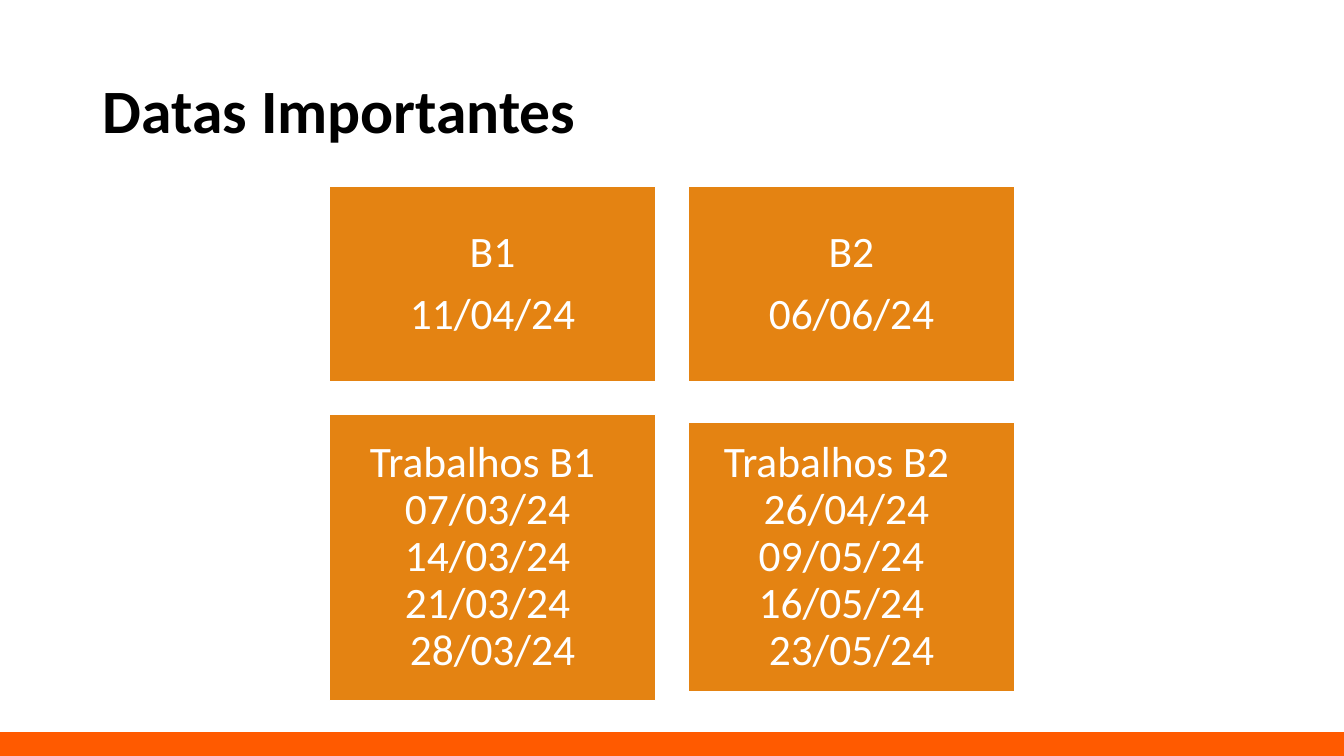
from pptx import Presentation
from pptx.dml.color import RGBColor
from pptx.enum.shapes import MSO_SHAPE as SHAPE
from pptx.enum.text import MSO_ANCHOR as ANCHOR, MSO_AUTO_SIZE as AUTO, PP_ALIGN as ALIGN
from pptx.util import Inches, Pt

BLACK = RGBColor(0x00, 0x00, 0x00)
WHITE = RGBColor(0xFF, 0xFF, 0xFF)
AMBER = RGBColor(0xE4, 0x83, 0x12)
ORANGE = RGBColor(0xFF, 0x5A, 0x00)

WIDTH, HEIGHT = 13.33, 7.5
# Grid of date cards: first left edge, column step, card width, row centres
LEFT, STEP, CARD_W = 3.27, 3.56, 3.23
ROW_CENTRES = (2.82, 5.53)


def apply(obj, values):
    for name, value in values.items():
        setattr(obj, name, value)


class DeckSlide:
    TITLE_FONT = dict(name="Calibri", size=Pt(44), bold=True)
    CARD_FONT = dict(name="Calibri", size=Pt(31))
    CARD_FRAME = dict(word_wrap=True, vertical_anchor=ANCHOR.MIDDLE,
                      **{f"margin_{side}": Inches(0.13)
                         for side in ("left", "right", "top", "bottom")})

    def __init__(self, prs):
        self.slide = prs.slides.add_slide(prs.slide_layouts[5])

    def title(self, text, left, top, width, height):
        sp = self.slide.shapes.title
        apply(sp, dict(left=Inches(left), top=Inches(top),
                       width=Inches(width), height=Inches(height)))
        tf = sp.text_frame
        tf.text = text
        apply(tf, dict(word_wrap=True, auto_size=AUTO.NONE, vertical_anchor=ANCHOR.MIDDLE))
        p = tf.paragraphs[0]
        apply(p, dict(alignment=ALIGN.LEFT, line_spacing=0.9))
        r = p.runs[0]
        apply(r.font, self.TITLE_FONT)
        r.font.color.rgb = BLACK

    def rect(self, left, top, width, height, fill, line):
        sp = self.slide.shapes.add_shape(
            SHAPE.RECTANGLE, *map(Inches, (left, top, width, height)))
        sp.shadow.inherit = False
        sp.fill.solid()
        sp.fill.fore_color.rgb = fill
        sp.line.color.rgb = line
        sp.line.width = Pt(1)
        return sp

    def card(self, col, row, height, lines, gap=0):
        """Lines are (text, right indent in inches); gap is in points."""
        sp = self.rect(LEFT + col * STEP, ROW_CENTRES[row] - height / 2,
                       CARD_W, height, AMBER, WHITE)
        tf = sp.text_frame
        apply(tf, self.CARD_FRAME)
        for i, (text, indent) in enumerate(lines):
            p = tf.add_paragraph() if i else tf.paragraphs[0]
            p._p.get_or_add_pPr().set("marR", str(Inches(indent)))
            apply(p, dict(alignment=ALIGN.CENTER, line_spacing=0.9,
                          space_before=Pt(gap if i else 0), space_after=Pt(0)))
            r = p.add_run()
            r.text = text
            apply(r.font, self.CARD_FONT)
            r.font.color.rgb = WHITE


def main():
    prs = Presentation()
    apply(prs, dict(slide_width=Inches(WIDTH), slide_height=Inches(HEIGHT)))
    s = DeckSlide(prs)

    # Footer band and title
    s.rect(0, 7.27, WIDTH, 0.23, ORANGE, ORANGE)
    s.title("Datas Importantes", 0.92, 0.4, 11.5, 1.45)

    # Exam dates
    for col, (exam, date) in enumerate([("B1", "11/04/24"), ("B2", "06/06/24")]):
        s.card(col, 0, 1.94, [(exam, 0), (date, 0)], gap=11)

    # Assignment dates
    assignments = [
        (2.84, [("Trabalhos B1", 0.2), ("07/03/24", 0.1), ("14/03/24", 0.1),
                ("21/03/24", 0.1), ("28/03/24", 0)]),
        (2.67, [("Trabalhos B2", 0.3), ("26/04/24", 0.1), ("09/05/24", 0.2),
                ("16/05/24", 0.2), ("23/05/24", 0)]),
    ]
    for col, (height, lines) in enumerate(assignments):
        s.card(col, 1, height, lines)

    prs.save("out.pptx")


if __name__ == "__main__":
    main()
